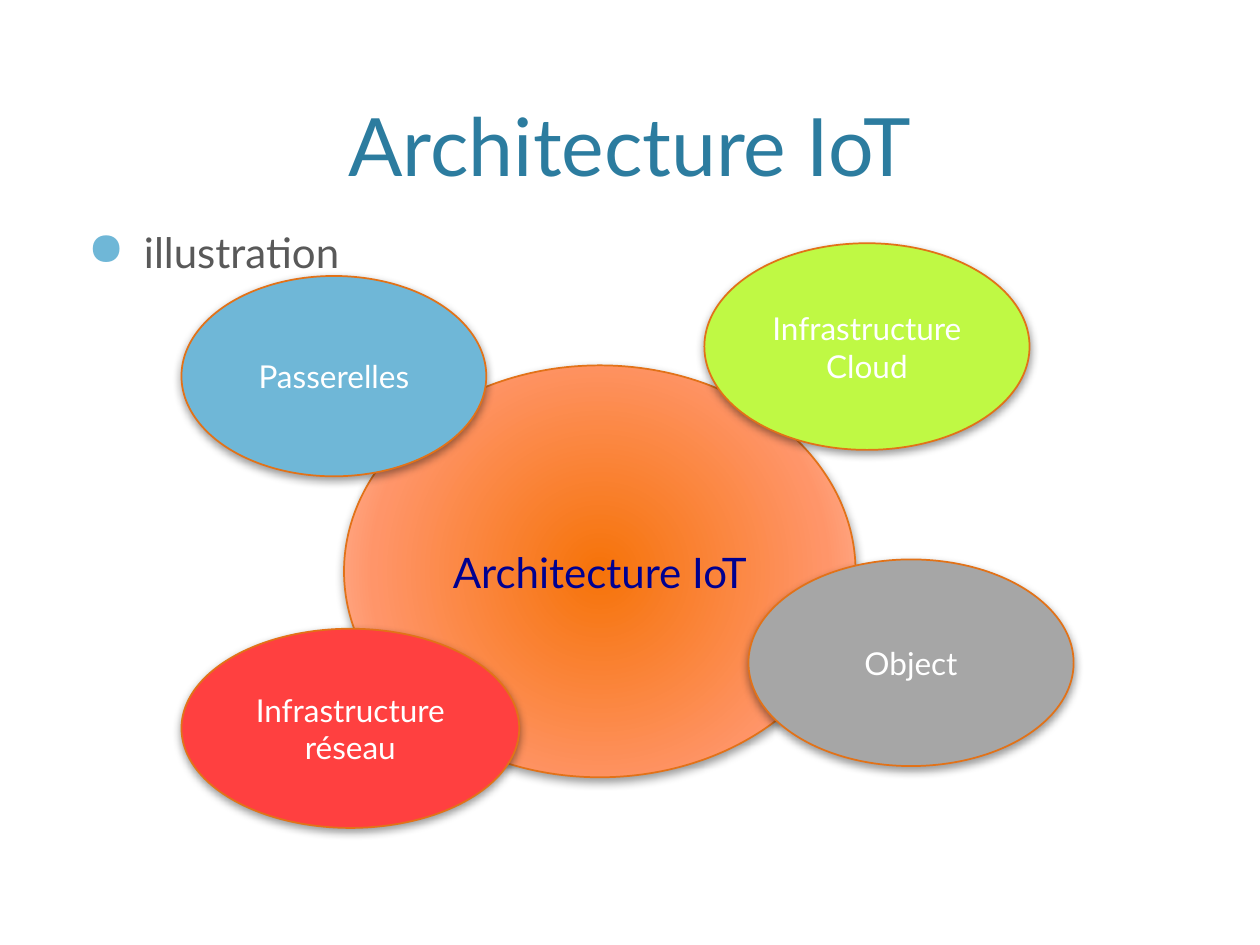
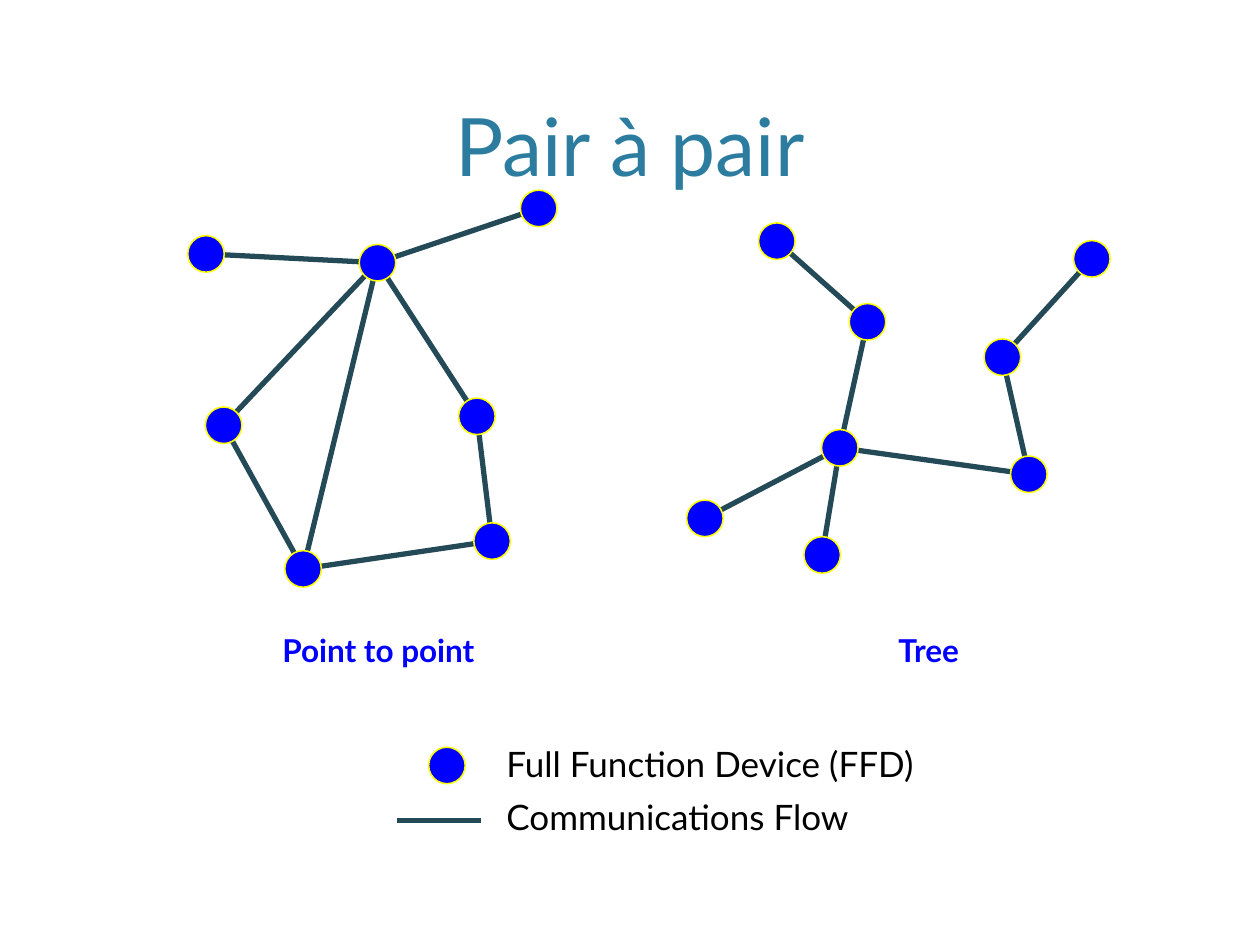
from collections import namedtuple
from dataclasses import dataclass

from lxml import etree
from pptx import Presentation
from pptx import util as u
from pptx.dml.color import RGBColor
from pptx.enum import shapes, text
from pptx.oxml import parse_xml
from pptx.oxml.ns import nsdecls, qn

Box = namedtuple("Box", "left top width height")


@dataclass(frozen=True)
class Theme:
    """Colours, font and type sizes shared by the slides."""
    font: str = "Lato"
    title: str = "2C7C9F"
    body: str = "595959"
    bullet: str = "6FB7D7"
    outline: str = "E27218"
    core_text: str = "000090"
    white: str = "FFFFFF"
    black: str = "000000"
    node: str = "0000FF"
    node_outline: str = "FFFF00"
    flow: str = "244A58"
    core_stops: tuple = ((0, "F67309"), (69, "FF9569"), (100, "FEC3B0"))
    title_size: float = 46
    body_size: float = 24
    legend_size: float = 20
    label_size: float = 18


THEME = Theme()
TITLE_BOX = Box(43.2, 8.6, 633.6, 105.1)
NODE_SIZE = 20.9


def color(value):
    """Turn a hex value into a colour."""
    return RGBColor.from_string(value)


def write(paragraph, words, size, tint, bold=False, align=None):
    """Add one formatted run to a paragraph."""
    paragraph.alignment = align
    run = paragraph.add_run()
    run.text = words
    run.font.name = THEME.font
    run.font.size = u.Pt(size)
    run.font.bold = bold
    run.font.color.rgb = color(tint)


def add_titled_slide(presentation, words):
    """Add a title-only slide with a formatted title."""
    slide = presentation.slides.add_slide(presentation.slide_layouts[5])
    title = slide.shapes.title
    title.left, title.top, title.width, title.height = map(u.Pt, TITLE_BOX)
    frame = title.text_frame
    frame.auto_size = text.MSO_AUTO_SIZE.NONE
    frame.vertical_anchor = text.MSO_ANCHOR.BOTTOM
    write(frame.paragraphs[0], words, THEME.title_size, THEME.title,
          align=text.PP_ALIGN.CENTER)
    return slide


def add_ellipse(slide, box, fill, outline, weight):
    """Add an outlined ellipse, left without a fill if none is given."""
    shape = slide.shapes.add_shape(shapes.MSO_SHAPE.OVAL, *map(u.Pt, box))
    shape.shadow.inherit = False
    if fill:
        shape.fill.solid()
        shape.fill.fore_color.rgb = color(fill)
    shape.line.color.rgb = color(outline)
    shape.line.width = u.Pt(weight)
    return shape


def add_bullet_text(slide, box, words):
    """Add a text box with one bulleted line."""
    frame = slide.shapes.add_textbox(*map(u.Pt, box)).text_frame
    frame.word_wrap = True
    paragraph = frame.paragraphs[0]
    properties = paragraph._p.get_or_add_pPr()
    indent = u.Pt(32)
    properties.set("marL", str(indent))
    properties.set("indent", str(-indent))
    bullet_color = etree.SubElement(properties, qn("a:buClr"))
    etree.SubElement(bullet_color, qn("a:srgbClr"), val=THEME.bullet)
    etree.SubElement(properties, qn("a:buSzPct"), val="110000")
    etree.SubElement(properties, qn("a:buChar"), char="●")
    write(paragraph, words, THEME.body_size, THEME.body)


def add_soft_shadow(shape):
    """Give a shape a soft shadow below it."""
    effects = shape._element.spPr.find(qn("a:effectLst"))
    effects.append(parse_xml(
        f'<a:outerShdw {nsdecls("a")} blurRad="{u.Pt(5)}" dist="{u.Pt(2)}" '
        'dir="5400000" rotWithShape="0"><a:srgbClr val="000000">'
        '<a:alpha val="40000"/></a:srgbClr></a:outerShdw>'))


def fill_radial(shape, stops):
    """Fill a shape with a circular gradient."""
    stop_list = "".join(
        f'<a:gs pos="{place * 1000}"><a:srgbClr val="{value}"/></a:gs>'
        for place, value in stops)
    gradient = parse_xml(
        f'<a:gradFill {nsdecls("a")} rotWithShape="1"><a:gsLst>{stop_list}'
        '</a:gsLst><a:path path="circle"><a:fillToRect l="100000" t="100000" '
        'r="100000" b="100000"/></a:path></a:gradFill>')
    shape._element.spPr.find(qn("a:prstGeom")).addnext(gradient)


def add_bubble(slide, box, lines, size, tint, fill=None):
    """Add a shadowed ellipse with centred text."""
    shape = add_ellipse(slide, box, fill, THEME.outline, 1)
    add_soft_shadow(shape)
    frame = shape.text_frame
    frame.word_wrap = True
    frame.vertical_anchor = text.MSO_ANCHOR.MIDDLE
    for index, line in enumerate(lines):
        paragraph = frame.add_paragraph() if index else frame.paragraphs[0]
        write(paragraph, line, size, tint, align=text.PP_ALIGN.CENTER)
    return shape


def add_bubble_diagram(slide, box):
    """Draw the core bubble and the four bubbles around it."""
    core = add_bubble(slide, Box(box.left + 92.9, box.top + 69.8, 292.3, 235.4),
                      ["Architecture IoT"], THEME.body_size, THEME.core_text)
    fill_radial(core, THEME.core_stops)
    satellites = [
        (Box(0, 18.7, 174.2, 114.5), ["Passerelles"], "6FB7D7"),
        (Box(298.8, 0, 185.8, 118.1), ["Infrastructure Cloud"], "BFF944"),
        (Box(0, 220.3, 193, 113.8), ["Infrastructure", "réseau"], "FF4040"),
        (Box(324, 180.7, 185.8, 118.1), ["Object"], "A6A6A6"),
    ]
    for place, lines, fill in satellites:
        bubble_box = place._replace(left=box.left + place.left,
                                    top=box.top + place.top)
        add_bubble(slide, bubble_box, lines, THEME.label_size, THEME.white, fill)


def add_flow(slide, start, end):
    """Draw a communication line between two points."""
    line = slide.shapes.add_connector(
        shapes.MSO_CONNECTOR.STRAIGHT, *map(u.Pt, (*start, *end)))
    line.line.color.rgb = color(THEME.flow)
    line.line.width = u.Pt(3)
    etree.SubElement(line._element.spPr, qn("a:effectLst"))


def add_node(slide, center):
    """Draw a device dot around its centre."""
    x, y = center
    box = Box(x - NODE_SIZE / 2, y - NODE_SIZE / 2, NODE_SIZE, NODE_SIZE)
    add_ellipse(slide, box, THEME.node, THEME.node_outline, 0.88)


def add_label(slide, box, words, size, tint, bold=False):
    """Add a one-line label without margins."""
    frame = slide.shapes.add_textbox(*map(u.Pt, box)).text_frame
    frame.margin_left = frame.margin_right = 0
    frame.margin_top = frame.margin_bottom = 0
    frame.word_wrap = False
    frame.auto_size = text.MSO_AUTO_SIZE.SHAPE_TO_FIT_TEXT
    write(frame.paragraphs[0], words, size, tint, bold)


def add_network(slide, box, nodes, links, caption, caption_box):
    """Draw a network of linked devices and its caption."""
    centers = {name: (box.left + x, box.top + y)
               for name, (x, y) in nodes.items()}
    for start, end in links:
        add_flow(slide, centers[start], centers[end])
    for center in centers.values():
        add_node(slide, center)
    place = caption_box._replace(left=box.left + caption_box.left,
                                 top=box.top + caption_box.top)
    add_label(slide, place, caption, THEME.label_size, THEME.node, bold=True)


def add_legend(slide, box):
    """Draw the legend for devices and flows."""
    add_node(slide, (box.left + 28.6, box.top + 13.3))
    add_flow(slide, (box.left, box.top + 44.6),
             (box.left + 48.2, box.top + 44.6))
    entries = [("Full Function Device (FFD)", 239),
               ("Communications Flow", 196.6)]
    for row, (words, width) in enumerate(entries):
        place = Box(box.left + 62.6, box.top + row * 30.2, width, 23.8)
        add_label(slide, place, words, THEME.legend_size, THEME.black)


def build_architecture(presentation):
    """Build the slide on the IoT architecture."""
    slide = add_titled_slide(presentation, "Architecture IoT")
    add_bullet_text(slide, Box(43.2, 126, 633.6, 342), "illustration")
    add_bubble_diagram(slide, Box(103.7, 139, 509.8, 334.1))


def build_peer_to_peer(presentation):
    """Build the slide on peer-to-peer networks."""
    slide = add_titled_slide(presentation, "Pair à pair")
    mesh_nodes = {
        "west": (10.4, 36.4), "hub": (108.4, 41.4), "north": (200.5, 10.4),
        "left": (20.5, 134.3), "right": (165.2, 129.2),
        "bottom": (65.9, 216.4), "corner": (173.9, 200.5),
    }
    mesh_links = [
        ("west", "hub"), ("hub", "north"), ("hub", "left"),
        ("hub", "bottom"), ("hub", "right"), ("left", "bottom"),
        ("bottom", "corner"), ("right", "corner"),
    ]
    add_network(slide, Box(107.3, 108.7, 211, 227), mesh_nodes, mesh_links,
                "Point to point", Box(54, 252, 115.9, 21.6))
    tree_nodes = {
        "root": (87.5, 128.5), "branch": (103.3, 56.5), "tip": (51.5, 10.4),
        "leaf": (10.4, 168.8), "twig": (77.4, 189.7),
        "east": (195.5, 143.6), "stem": (180.4, 76.7), "top": (231.5, 20.5),
    }
    tree_links = [
        ("root", "branch"), ("branch", "tip"), ("root", "leaf"),
        ("root", "twig"), ("root", "east"), ("east", "stem"),
        ("stem", "top"),
    ]
    add_network(slide, Box(392.4, 127.4, 242, 200), tree_nodes, tree_links,
                "Tree", Box(121, 233.3, 38.2, 21.6))
    add_legend(slide, Box(226.8, 424.1, 301.6, 54))


def main():
    """Build and save the presentation."""
    presentation = Presentation()
    presentation.slide_width = u.Pt(720)
    presentation.slide_height = u.Pt(540)
    build_architecture(presentation)
    build_peer_to_peer(presentation)
    presentation.save("out.pptx")


if __name__ == "__main__":
    main()
